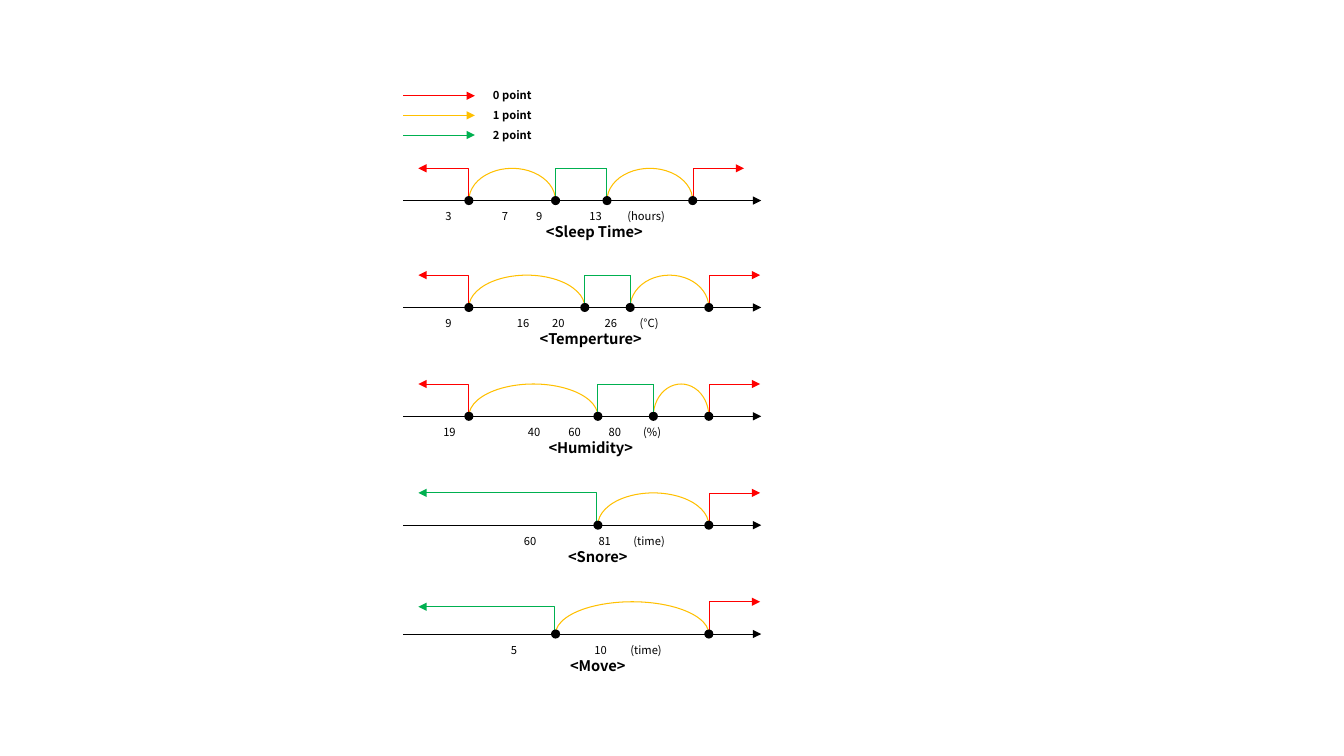
from dataclasses import dataclass

from lxml import etree
from pptx import Presentation
from pptx.dml.color import RGBColor
from pptx.enum.shapes import MSO_CONNECTOR, MSO_SHAPE
from pptx.enum.text import MSO_AUTO_SIZE, PP_ALIGN
from pptx.oxml.ns import qn
from pptx.util import Inches, Pt

STRAIGHT, ELBOW = MSO_CONNECTOR.STRAIGHT, MSO_CONNECTOR.ELBOW
ARC, OVAL = MSO_SHAPE.ARC, MSO_SHAPE.OVAL
CENTER = PP_ALIGN.CENTER
GROW = MSO_AUTO_SIZE.SHAPE_TO_FIT_TEXT


@dataclass(frozen=True)
class Theme:
    font: str = "Noto Sans CJK KR"
    black: RGBColor = RGBColor(0, 0, 0)
    red: RGBColor = RGBColor(0xFF, 0, 0)
    yellow: RGBColor = RGBColor(0xFF, 0xC0, 0)
    green: RGBColor = RGBColor(0, 0xB0, 0x50)
    label_size: float = 8
    title_size: float = 10.5
    thin: float = 0.5
    medium: float = 0.75


@dataclass(frozen=True)
class Scale:
    title: str
    axis_y: float
    width: float
    marks: tuple
    labels: dict
    left_rise: float = 0.32


THEME = Theme()
AXIS_LEFT, AXIS_RIGHT = 4, 7.55
ARROW_LEFT, ARROW_LENGTH = 4.15, 0.51
RISE, DOT, TEXT_INSET = 0.32, 0.09, 0.1

LEGEND = [("0 point", THEME.red, 0.96), ("1 point", THEME.yellow, 2.08), ("2 point", THEME.green, 1.13)]
SCALES = [
    Scale("<Sleep Time>", 1.99, 3.79, (4.65, 5.51, 6.02, 6.87),
          {"3": 4.45, "7": 5.01, "9": 5.35, "13": 5.91, "(hours)": 6.41}),
    Scale("<Temperture>", 3.05, 3.72, (4.65, 5.8, 6.25, 7.03),
          {"9": 4.45, "16": 5.19, "20": 5.54, "26": 6.06, "(°C)": 6.44}),
    Scale("<Humidity>", 4.13, 3.72, (4.65, 5.93, 6.48, 7.03),
          {"19": 4.46, "40": 5.3, "60": 5.7, "80": 6.1, "(%)": 6.47}),
    Scale("<Snore>", 5.21, 3.86, (5.93, 7.03), {"60": 5.26, "81": 6, "(time)": 6.44}),
    Scale("<Move>", 6.29, 3.86, (5.51, 7.03), {"5": 5.1, "10": 5.96, "(time)": 6.41}, 0.27),
]


def add_line(slide, start, end, color, width, kind=STRAIGHT, arrow=False):
    points = [Inches(value) for value in (*start, *end)]
    connector = slide.shapes.add_connector(kind, *points)
    connector.line.color.rgb = color
    connector.line.width = Pt(width)
    if arrow:
        line = connector.line._get_or_add_ln()
        etree.SubElement(line, qn("a:tailEnd"), type="triangle")
    etree.SubElement(connector._element.spPr, qn("a:effectLst"))
    return connector


def add_bent_arrow(slide, start, end, color, width):
    connector = add_line(slide, start, end, color, width, ELBOW, True)
    guides = connector._element.spPr.find(qn("a:prstGeom")).get_or_add_avLst()
    etree.SubElement(guides, qn("a:gd"), name="adj1", fmla="val 1000")


def add_arc(slide, left, right, axis_y):
    arc = slide.shapes.add_shape(ARC, Inches(left), Inches(axis_y - RISE), Inches(right - left), Inches(2 * RISE))
    arc.adjustments[0] = 108
    arc.adjustments[1] = 0
    arc.shadow.inherit = False
    arc.fill.background()
    arc.line.color.rgb = THEME.yellow
    arc.line.width = Pt(THEME.medium)


def add_bracket(slide, left, right, axis_y):
    top = axis_y - RISE
    corners = [(left, axis_y), (left, top), (right, top), (right, axis_y)]
    for start, end in zip(corners, corners[1:]):
        add_line(slide, start, end, THEME.green, THEME.medium)


def add_dot(slide, center_x, center_y):
    dot = slide.shapes.add_shape(OVAL, Inches(center_x - DOT / 2), Inches(center_y - DOT / 2),
                                 Inches(DOT), Inches(DOT))
    dot.shadow.inherit = False
    dot.fill.solid()
    dot.fill.fore_color.rgb = THEME.black
    dot.line.fill.background()


def add_text_frame(slide, left, top, width, height):
    box = slide.shapes.add_textbox(Inches(left), Inches(top), Inches(width), Inches(height))
    box.text_frame.word_wrap = True
    box.text_frame.auto_size = GROW
    return box.text_frame


def write(paragraph, text, size, bold):
    paragraph.text = text
    paragraph.font.name = THEME.font
    paragraph.font.size = Pt(size)
    paragraph.font.bold = bold
    paragraph.font.color.rgb = THEME.black


def add_center_tabs(paragraph, positions):
    properties = paragraph._p.get_or_add_pPr()
    tabs = etree.Element(qn("a:tabLst"))
    properties.insert(0, tabs)
    for position in positions:
        etree.SubElement(tabs, qn("a:tab"), pos=str(Inches(position)), algn="ctr")


def add_captions(slide, scale):
    frame = add_text_frame(slide, AXIS_LEFT, scale.axis_y + 0.04, scale.width, 0.41)
    labels = frame.paragraphs[0]
    write(labels, "".join("\t" + label for label in scale.labels), THEME.label_size, False)
    add_center_tabs(labels, [x - AXIS_LEFT - TEXT_INSET for x in scale.labels.values()])
    title = frame.add_paragraph()
    write(title, scale.title, THEME.title_size, True)
    title.alignment = CENTER


def add_scale(slide, scale):
    y, marks = scale.axis_y, scale.marks
    first, last = marks[0], marks[-1]
    has_bracket = len(marks) == 4
    left_color, left_width = (THEME.red, THEME.thin) if has_bracket else (THEME.green, THEME.medium)
    for left, right in zip(marks[::2], marks[1::2]):
        add_arc(slide, left, right, y)
    if has_bracket:
        add_bracket(slide, marks[1], marks[2], y)
    add_bent_arrow(slide, (first, y), (ARROW_LEFT, y - scale.left_rise), left_color, left_width)
    add_bent_arrow(slide, (last, y), (last + ARROW_LENGTH, y - RISE), THEME.red, THEME.thin)
    add_line(slide, (AXIS_LEFT, y), (AXIS_RIGHT, y), THEME.black, THEME.thin, arrow=True)
    for mark in marks:
        add_dot(slide, mark, y)
    add_captions(slide, scale)


def add_legend(slide):
    for index, (label, color, width) in enumerate(LEGEND):
        y = 0.95 + index * 0.195
        add_line(slide, (AXIS_LEFT, y), (4.71, y), color, THEME.thin, arrow=True)
        frame = add_text_frame(slide, 4.79, y - 0.12, width, 0.24)
        write(frame.paragraphs[0], label, THEME.label_size, True)


def main():
    presentation = Presentation()
    presentation.slide_width = Inches(13.33)
    presentation.slide_height = Inches(7.5)
    slide = presentation.slides.add_slide(presentation.slide_layouts[6])
    add_legend(slide)
    for scale in SCALES:
        add_scale(slide, scale)
    presentation.save("out.pptx")


if __name__ == "__main__":
    main()
